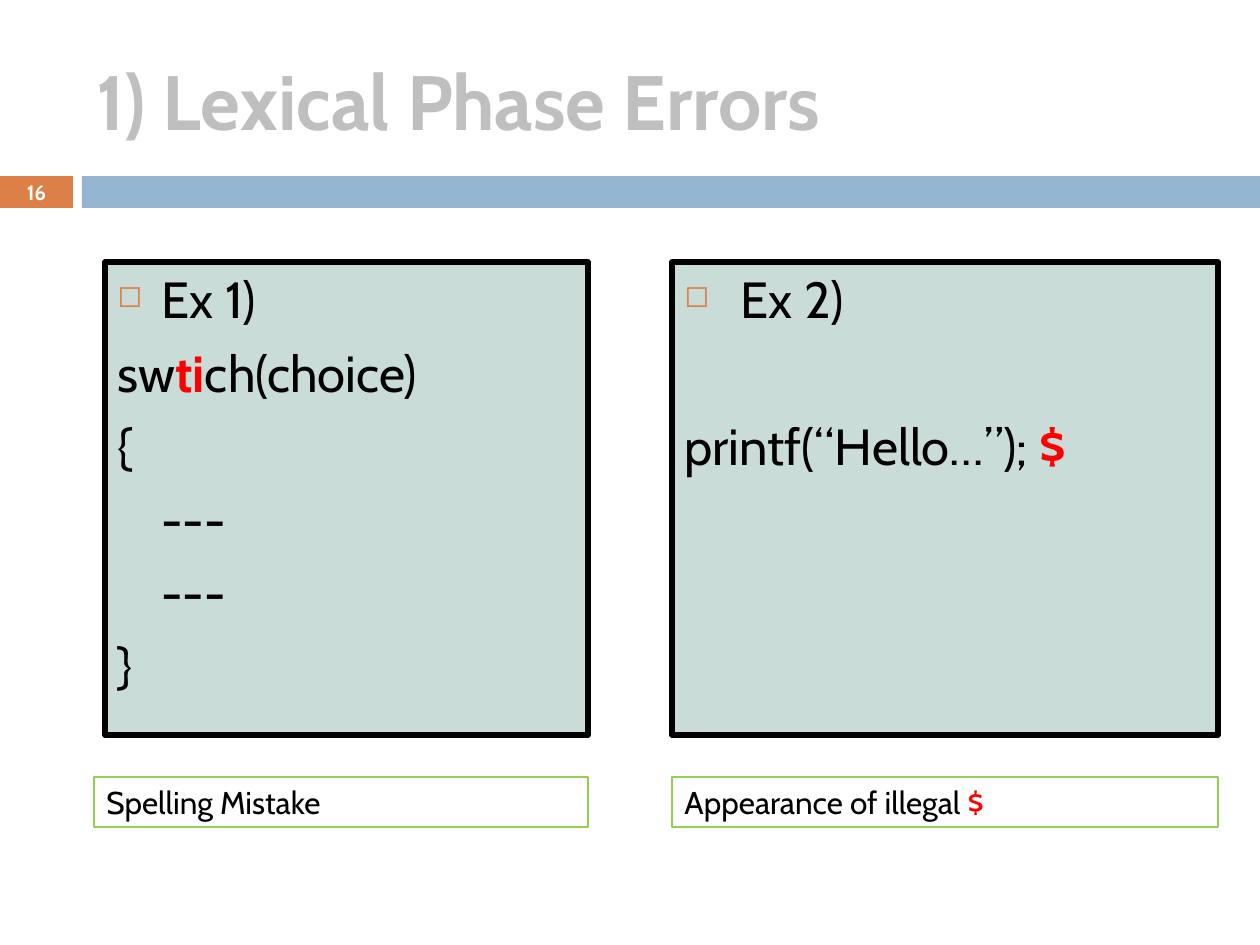
from pptx import Presentation, util as u
from pptx.dml.color import RGBColor
from pptx.enum import shapes, text
from pptx.oxml import parse_xml
from pptx.oxml.ns import nsdecls

BLACK = RGBColor(0, 0, 0)
WHITE = RGBColor(0xFF, 0xFF, 0xFF)
RED = RGBColor(0xFF, 0, 0)
GREY = RGBColor(0xBF, 0xBF, 0xBF)
ORANGE = RGBColor(0xDD, 0x80, 0x47)
BLUE = RGBColor(0x94, 0xB6, 0xD2)
MINT = RGBColor(0xCA, 0xDC, 0xD8)
GREEN = RGBColor(0x92, 0xD0, 0x50)

FONT = "Cabin"
PX = 914400 / 126
TITLE = "1) Lexical Phase Errors"
PAGE = "16"
CODE_SIZE, GAP, SKIPPED_LINE = 29, 7, 42

# Each line: runs of (text, bold, colour), left indent in px, bullet, space before in pt
EXAMPLES = [
    {
        "panel": (105, 262, 483, 473),
        "label": (94, 777, 494, 50),
        "lines": [
            ([("Ex 1)", False, BLACK)], 44, True, 0),
            ([("sw", False, BLACK), ("ti", True, RED), ("ch(choice)", False, BLACK)], 0, False, GAP),
            ([("{", False, BLACK)], 0, False, GAP),
            ([("---", False, BLACK)], 44, False, GAP),
            ([("---", False, BLACK)], 44, False, GAP),
            ([("}", False, BLACK)], 0, False, GAP),
        ],
        "caption": [("Spelling Mistake", False, BLACK)],
    },
    {
        "panel": (672, 262, 546, 473),
        "label": (672, 777, 546, 50),
        "lines": [
            ([("Ex 2)", False, BLACK)], 56, True, 0),
            ([("printf(“Hello…”); ", False, BLACK), ("$", True, RED)], 0, False, GAP + SKIPPED_LINE),
        ],
        "caption": [("Appearance of illegal", False, BLACK), (" $", False, RED)],
    },
]


def px(n):
    return u.Emu(round(n * PX))


def add_rect(s, box, fill=None, line=None, width=0):
    sp = s.shapes.add_shape(shapes.MSO_SHAPE.RECTANGLE, *map(px, box))
    sp.shadow.inherit = False
    if fill is None:
        sp.fill.background()
    else:
        sp.fill.solid()
        sp.fill.fore_color.rgb = fill
    if line is None:
        sp.line.fill.background()
    else:
        sp.line.color.rgb = line
        sp.line.width = u.Pt(width)
    sp.text_frame.vertical_anchor = text.MSO_ANCHOR.TOP
    return sp


def style(r, size, color, bold):
    r.font.name = FONT
    r.font.size = u.Pt(size)
    r.font.bold = bold
    r.font.color.rgb = color


def add_runs(p, runs, size):
    p.alignment = text.PP_ALIGN.LEFT
    for words, bold, color in runs:
        r = p.add_run()
        r.text = words
        style(r, size, color, bold)


def set_indent(p, indent, bullet):
    pPr = p._p.get_or_add_pPr()
    pPr.set("marL", str(px(indent)))
    pPr.set("indent", str(-px(indent) if bullet else 0))
    if bullet:
        for xml in (
            f'<a:buClr {nsdecls("a")}><a:srgbClr val="{ORANGE}"/></a:buClr>',
            f'<a:buSzPct {nsdecls("a")} val="60000"/>',
            f'<a:buChar {nsdecls("a")} char="◻"/>',
        ):
            pPr.append(parse_xml(xml))


def add_example(s, example):
    tf = add_rect(s, example["panel"], MINT, BLACK, 3).text_frame
    for i, (runs, indent, bullet, before) in enumerate(example["lines"]):
        p = tf.add_paragraph() if i else tf.paragraphs[0]
        set_indent(p, indent, bullet)
        p.space_before = u.Pt(before)
        add_runs(p, runs, CODE_SIZE)
    label = add_rect(s, example["label"], None, GREEN, 0.75)
    add_runs(label.text_frame.paragraphs[0], example["caption"], 18)


def main():
    prs = Presentation()
    prs.slide_width, prs.slide_height = u.Inches(10), u.Inches(7.5)
    s = prs.slides.add_slide(prs.slide_layouts[5])

    title = s.shapes.title
    title.left, title.top, title.width, title.height = map(px, (84, 32, 1156, 136))
    tf = title.text_frame
    tf.text = TITLE
    tf.auto_size = text.MSO_AUTO_SIZE.NONE
    tf.vertical_anchor = text.MSO_ANCHOR.MIDDLE
    tf.paragraphs[0].alignment = text.PP_ALIGN.LEFT
    style(tf.paragraphs[0].runs[0], 44, GREY, True)

    add_rect(s, (82, 176, 1178, 32), BLUE)
    tf = add_rect(s, (0, 176, 73, 32), ORANGE).text_frame
    tf.text = PAGE
    tf.vertical_anchor = text.MSO_ANCHOR.MIDDLE
    tf.margin_top = tf.margin_bottom = 0
    tf.paragraphs[0].alignment = text.PP_ALIGN.CENTER
    style(tf.paragraphs[0].runs[0], 11.9, WHITE, True)

    for example in EXAMPLES:
        add_example(s, example)
    prs.save("out.pptx")


if __name__ == "__main__":
    main()
